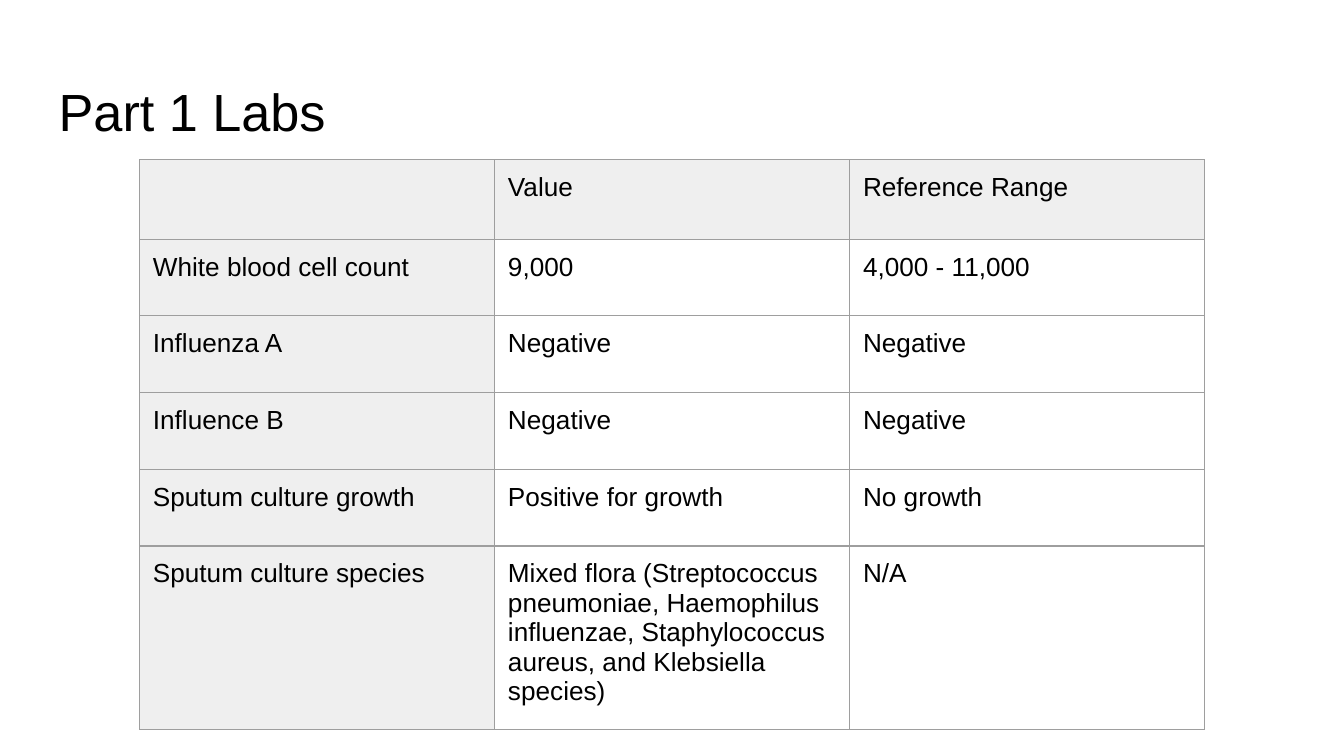
"""Build the Part 1 Labs slide with its table of laboratory results."""

from dataclasses import dataclass

from lxml import etree
from pptx import Presentation
from pptx.dml.color import RGBColor
from pptx.enum.text import MSO_ANCHOR
from pptx.oxml.ns import qn
from pptx.slide import Slide
from pptx.table import _Cell
from pptx.text.text import TextFrame
from pptx.util import Cm, Length, Pt

TOP = MSO_ANCHOR.TOP
BORDER_TAGS = ("a:lnL", "a:lnR", "a:lnT", "a:lnB")


@dataclass(frozen=True)
class Theme:
    font: str = "Arial"
    text: str = "000000"
    label_fill: str = "EFEFEF"
    border: str = "9E9E9E"
    border_width: Length = Pt(0.75)
    title_size: Length = Pt(28)
    table_size: Length = Pt(14)
    inset: Length = Cm(0.25)


@dataclass(frozen=True)
class LabRow:
    label: str
    value: str
    reference: str
    height: Length = Cm(1.45)


THEME = Theme()
COLUMN_WIDTH = Cm(6.71)
LAB_ROWS = (
    LabRow("", "Value", "Reference Range", Cm(1.5)),
    LabRow("White blood cell count", "9,000", "4,000 - 11,000"),
    LabRow("Influenza A", "Negative", "Negative"),
    LabRow("Influence B", "Negative", "Negative"),
    LabRow("Sputum culture growth", "Positive for growth", "No growth"),
    LabRow(
        "Sputum culture species",
        "Mixed flora (Streptococcus pneumoniae, Haemophilus influenzae, "
        "Staphylococcus aureus, and Klebsiella species)",
        "N/A",
        Cm(3.18),
    ),
)


def write_text(target: TextFrame | _Cell, text_frame: TextFrame, text: str, size: Length) -> None:
    target.margin_left = target.margin_right = THEME.inset
    target.margin_top = target.margin_bottom = THEME.inset
    target.vertical_anchor = TOP
    paragraph = text_frame.paragraphs[0]
    paragraph.text = text
    paragraph.font.name = THEME.font
    paragraph.font.size = size
    paragraph.font.bold = False
    paragraph.font.color.rgb = RGBColor.from_string(THEME.text)


def add_title(slide: Slide, text: str) -> None:
    text_frame = slide.shapes.add_textbox(Cm(0.86), Cm(1.24), Cm(23.67), Cm(1.6)).text_frame
    text_frame.word_wrap = True
    write_text(text_frame, text_frame, text, THEME.title_size)


def set_borders(cell: _Cell) -> None:
    properties = cell._tc.get_or_add_tcPr()
    for position, tag in enumerate(BORDER_TAGS):
        line = etree.Element(qn(tag), w=str(int(THEME.border_width)))
        fill = etree.SubElement(line, qn("a:solidFill"))
        etree.SubElement(fill, qn("a:srgbClr"), val=THEME.border)
        properties.insert(position, line)


def add_lab_table(slide: Slide, rows: tuple[LabRow, ...]) -> None:
    total_height = sum(row.height for row in rows)
    table = slide.shapes.add_table(
        len(rows), 3, Cm(2.64), Cm(3.02), 3 * COLUMN_WIDTH, total_height
    ).table
    table.first_row = table.horz_banding = False
    for row_index, row in enumerate(rows):
        table.rows[row_index].height = row.height
        for column_index, text in enumerate((row.label, row.value, row.reference)):
            cell = table.cell(row_index, column_index)
            write_text(cell, cell.text_frame, text, THEME.table_size)
            if row_index == 0 or column_index == 0:
                cell.fill.solid()
                cell.fill.fore_color.rgb = RGBColor.from_string(THEME.label_fill)
            else:
                cell.fill.background()
            set_borders(cell)


def main() -> None:
    presentation = Presentation()
    presentation.slide_width = Cm(25.4)
    presentation.slide_height = Cm(14.29)
    slide = presentation.slides.add_slide(presentation.slide_layouts[6])
    add_title(slide, "Part 1 Labs")
    add_lab_table(slide, LAB_ROWS)
    presentation.save("out.pptx")


if __name__ == "__main__":
    main()
